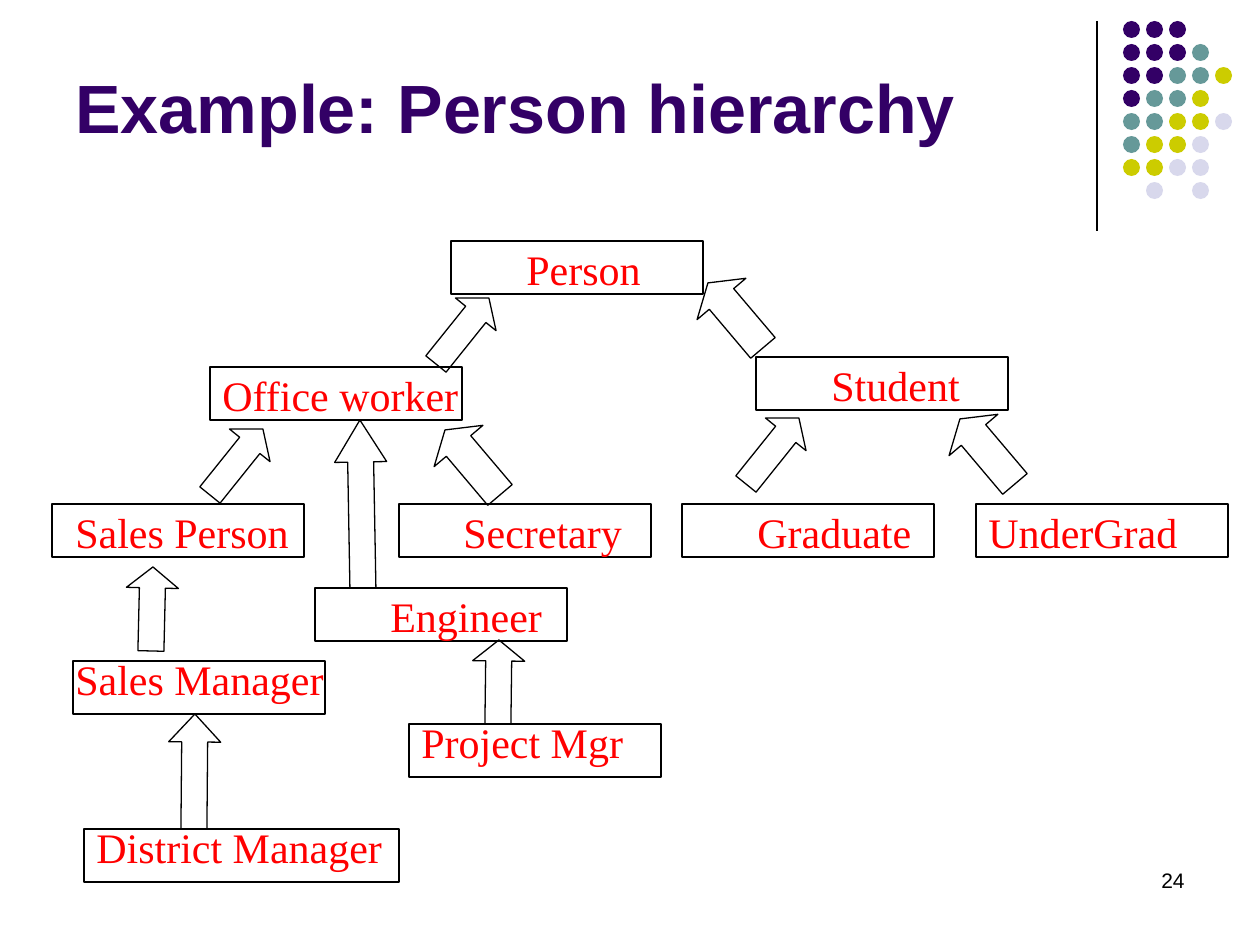
import math
from collections import namedtuple
from dataclasses import dataclass

from pptx import Presentation
from pptx import util as u
from pptx.dml.color import RGBColor
from pptx.enum import shapes, text
from pptx.oxml.ns import qn
from lxml import etree

EMU_PER_PX = 914400 / 126


@dataclass(frozen=True)
class Theme:
    ink: str = "000000"
    label: str = "FF0000"
    title: str = "330066"
    sans: str = "Arial"
    serif: str = "Times New Roman"
    title_size: int = 39
    label_size: int = 24
    number_size: int = 12
    line_width: float = 0.75
    label_spacing: float = 0.94


THEME = Theme()
DOT_COLORS = {"p": "330066", "t": "669999", "y": "CCCC00", "l": "D8D8EC"}
DOT_ROWS = ["ppp", "pppt", "pptty", "ptty", "ttyyl", "tyyl", "yyll", " l l"]
DOT_SIZE, DOT_PITCH = 17, 23
BOX_HEIGHT, LABEL_HEIGHT = 53, 60

Node = namedtuple("Node", "name left top width label_left label_top label_width")
NODES = [
    Node("Person", 451, 241, 252, 514, 241, 155),
    Node("Office worker", 210, 367, 252, 210, 367, 275),
    Node("District Manager", 84, 829, 315, 84, 819, 325),
    Node("Sales Manager", 73, 661, 252, 63, 651, 290),
    Node("Engineer", 315, 588, 252, 378, 588, 190),
    Node("Secretary", 399, 504, 252, 451, 504, 200),
    Node("Sales Person", 52, 504, 252, 63, 504, 255),
    Node("UnderGrad", 976, 504, 252, 976, 504, 230),
    Node("Graduate", 682, 504, 252, 745, 504, 195),
    Node("Student", 756, 357, 252, 819, 357, 170),
    Node("Project Mgr", 409, 724, 252, 409, 714, 245),
]

Arrow = namedtuple("Arrow", "tail tip shaft head", defaults=(26, 21))
ARROWS = [
    Arrow((436, 364), (489, 298)),
    Arrow((210, 495), (263, 429)),
    Arrow((746, 484), (799, 418)),
    Arrow((498, 724), (499, 640)),
    Arrow((363, 588), (360, 420), head=42),
    Arrow((151, 651), (153, 567)),
    Arrow((763, 348), (708, 283), shaft=32),
    Arrow((194, 829), (195, 714), head=28),
    Arrow((1015, 484), (960, 419), shaft=32),
    Arrow((500, 495), (445, 430), shaft=32),
]


def px(value):
    return u.Emu(round(value * EMU_PER_PX))


def outline(shape):
    shape.shadow.inherit = False
    shape.fill.background()
    shape.line.color.rgb = RGBColor.from_string(THEME.ink)
    shape.line.width = u.Pt(THEME.line_width)


def add_text(slide, wording, left, top, width, height, font, size, color,
             bold=False, align=text.PP_ALIGN.LEFT,
             anchor=text.MSO_ANCHOR.TOP, spacing=None):
    box = slide.shapes.add_textbox(px(left), px(top), px(width), px(height))
    frame = box.text_frame
    frame.word_wrap = True
    frame.vertical_anchor = anchor
    frame.text = wording
    paragraph = frame.paragraphs[0]
    paragraph.alignment = align
    paragraph.line_spacing = spacing
    run_font = paragraph.runs[0].font
    run_font.name = font
    run_font.size = u.Pt(size)
    run_font.bold = bold
    run_font.color.rgb = RGBColor.from_string(color)


def add_divider(slide):
    line = slide.shapes.add_connector(
        shapes.MSO_CONNECTOR.STRAIGHT, px(1097), px(21), px(1097), px(231))
    line.line.color.rgb = RGBColor.from_string(THEME.ink)
    line.line.width = u.Pt(THEME.line_width)
    etree.SubElement(line._element.spPr, qn("a:effectLst"))


def add_dots(slide, left, top):
    for row, codes in enumerate(DOT_ROWS):
        for column, code in enumerate(codes):
            if code == " ":
                continue
            dot = slide.shapes.add_shape(
                shapes.MSO_SHAPE.OVAL,
                px(left + column * DOT_PITCH), px(top + row * DOT_PITCH),
                px(DOT_SIZE), px(DOT_SIZE))
            dot.shadow.inherit = False
            dot.fill.solid()
            dot.fill.fore_color.rgb = RGBColor.from_string(DOT_COLORS[code])
            dot.line.fill.background()


def add_node(slide, node):
    box = slide.shapes.add_shape(
        shapes.MSO_SHAPE.ROUNDED_RECTANGLE,
        px(node.left), px(node.top), px(node.width), px(BOX_HEIGHT))
    box.adjustments[0] = 0
    outline(box)
    add_text(slide, node.name, node.label_left, node.label_top,
             node.label_width, LABEL_HEIGHT, THEME.serif, THEME.label_size,
             THEME.label, spacing=THEME.label_spacing)


def add_arrow(slide, arrow):
    (x, y), (tip_x, tip_y) = arrow.tail, arrow.tip
    length = math.dist(arrow.tail, arrow.tip)
    along_x, along_y = (tip_x - x) / length, (tip_y - y) / length
    neck, half = length - arrow.head, arrow.shaft / 2
    profile = [(0, -half), (neck, -half), (neck, -2 * half), (length, 0),
               (neck, 2 * half), (neck, half), (0, half)]
    points = [(px(x + along * along_x - across * along_y),
               px(y + along * along_y + across * along_x))
              for along, across in profile]
    builder = slide.shapes.build_freeform(*points[0])
    builder.add_line_segments(points[1:], close=True)
    outline(builder.convert_to_shape())


def main():
    presentation = Presentation()
    presentation.slide_width = px(1260)
    presentation.slide_height = px(945)
    slide = presentation.slides.add_slide(presentation.slide_layouts[6])
    add_divider(slide)
    add_dots(slide, 1123, 21)
    add_text(slide, "24", 903, 861, 294, 63, THEME.sans, THEME.number_size,
             THEME.ink, align=text.PP_ALIGN.RIGHT)
    for node in NODES:
        add_node(slide, node)
    for arrow in ARROWS:
        add_arrow(slide, arrow)
    add_text(slide, "Example: Person hierarchy", 63, 37, 1040, 139,
             THEME.sans, THEME.title_size, THEME.title, bold=True,
             anchor=text.MSO_ANCHOR.MIDDLE)
    presentation.save("out.pptx")


if __name__ == "__main__":
    main()
